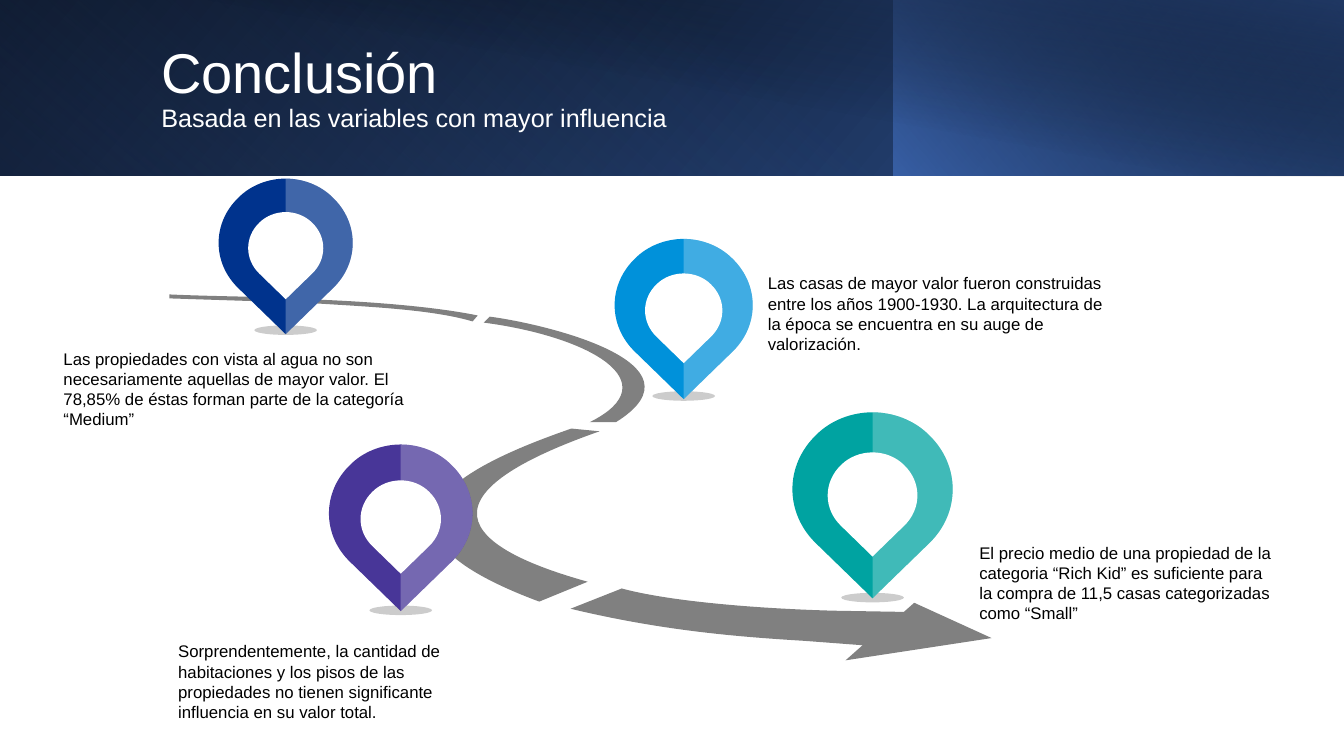
from typing import NamedTuple

from lxml.etree import SubElement
from pptx import Presentation
from pptx.dml.color import RGBColor as RGB
from pptx.enum.shapes import MSO_SHAPE as Shape
from pptx.enum.text import MSO_ANCHOR as Anchor, MSO_AUTO_SIZE as AutoSize, PP_ALIGN as Align
from pptx.oxml.ns import qn
from pptx.util import Cm, Pt

COLORS = {
    "black": "000000", "white": "FFFFFF", "road": "808080",
    "blue": "4472C4", "mid": "2F5597", "dark": "203864",
    "navy": "00338D", "sky": "0091DA", "purple": "483698", "teal": "00A3A1",
}
FONT = "Arial"
CURVE_STEPS = 8


class Stop(NamedTuple):
    pos: float
    color: str
    alpha: int = 100


class Band(NamedTuple):
    left: float
    width: float
    height: float
    angle: int
    stops: tuple[Stop, Stop]
    rotation: int = 0
    flip: bool = True


class Pin(NamedTuple):
    color: str
    x: float
    top: float
    width: float
    shadow_top: float


class Note(NamedTuple):
    left: float
    top: float
    width: float
    text: str


BANDS = [
    Band(0, 33.87, 4.43, 140, (Stop(0, "black"), Stop(1, "mid"))),
    Band(0, 22.55, 4.43, 230, (Stop(0.2, "blue", 0), Stop(1, "dark", 55)), rotation=180),
    Band(22.53, 11.33, 4.43, 220, (Stop(0, "blue", 66), Stop(1, "black", 30))),
    Band(1.27, 32.6, 4.44, 280, (Stop(0.5, "black", 0), Stop(0.99, "dark", 52)), flip=False),
]
NOTES = [
    Note(4.24, 16.03, 8.46, "Sorprendentemente, la cantidad de habitaciones y los pisos de las "
         "propiedades no tienen significante influencia en su valor total."),
    Note(24.43, 13.54, 8.0, "El precio medio de una propiedad de la categoria “Rich Kid” es "
         "suficiente para la compra de 11,5 casas categorizadas como “Small”"),
    Note(19.1, 6.76, 9.25, "Las casas de mayor valor fueron construidas entre los años 1900-1930. "
         "La arquitectura de la época se encuentra en su auge de valorización."),
    Note(1.35, 8.66, 9.19, "Las propiedades con vista al agua no son necesariamente aquellas de "
         "mayor valor. El 78,85% de éstas forman parte de la categoría “Medium”"),
]
PINS = [
    Pin("teal", 21.99, 10.39, 4.04, 14.94),
    Pin("purple", 10.1, 11.2, 3.62, 15.26),
    Pin("sky", 17.23, 6.02, 3.48, 9.86),
    Pin("navy", 7.2, 4.5, 3.38, 8.2),
]
# A pair is a straight step; six numbers are a Bézier curve
ROAD = [
    [(15.67, 14.83), (16.89, 15.16, 19.13, 15.34, 21.03, 15.39), (22.78, 15.42), (23.04, 15.19),
     (24.99, 16.08), (21.31, 16.64), (21.74, 16.26), (20.27, 16.15),
     (18.64, 16.05, 16.71, 15.9, 14.38, 15.34)],
    [(15.11, 10.87), (9.17, 12.95, 13.36, 14.25, 14.81, 14.66), (13.59, 15.16),
     (8.36, 13.21, 12.01, 11.63, 14.4, 10.8)],
    [(14.86, 10.64), (16.89, 9.63, 14.86, 8.48, 12.19, 8.13), (12.34, 7.98),
     (13.67, 8.15, 17.93, 9.14, 15.52, 10.64)],
    [(7.7, 7.54), (8.64, 7.57, 10.67, 7.67, 12.04, 7.95), (11.91, 8.1),
     (10.8, 7.77, 8.99, 7.72, 7.57, 7.62)],
    [(4.27, 7.42), (5.36, 7.47, 6.43, 7.47, 7.49, 7.52), (7.37, 7.62), (4.27, 7.52)],
]
# A pin whose width is 1: right half from the top to the tip, then the left half
HALF_PIN = [(0, 0), (0.13, 0, 0.26, 0.05, 0.35, 0.14),
            (0.55, 0.33, 0.55, 0.63, 0.35, 0.82), (0, 1.16)]
WHOLE_PIN = HALF_PIN + [(-0.35, 0.82), (-0.55, 0.63, -0.55, 0.33, -0.35, 0.14),
                        (-0.26, 0.05, -0.13, 0, 0, 0)]
HOLE_SCALE, HOLE_TOP = 0.56, 0.25


def flatten(steps: list[tuple]) -> list[tuple]:
    points = [steps[0]]
    for step in steps[1:]:
        if len(step) == 2:
            points.append(step)
            continue
        (x0, y0), (x1, y1, x2, y2, x3, y3) = points[-1], step
        for i in range(1, CURVE_STEPS + 1):
            t = i / CURVE_STEPS
            a, b, c, d = (1 - t) ** 3, 3 * t * (1 - t) ** 2, 3 * t * t * (1 - t), t ** 3
            points.append((a * x0 + b * x1 + c * x2 + d * x3, a * y0 + b * y1 + c * y2 + d * y3))
    return points


def set_alphas(sp, alphas: list[int]) -> None:
    for clr, alpha in zip(sp._element.spPr.iter(qn("a:srgbClr")), alphas):
        if alpha < 100:
            SubElement(clr, qn("a:alpha")).set("val", str(alpha * 1000))


def paint(sp, color: str, alpha: int = 100) -> None:
    sp.shadow.inherit = False
    sp.fill.solid()
    sp.fill.fore_color.rgb = RGB.from_string(COLORS[color])
    sp.line.fill.background()
    set_alphas(sp, [alpha])


def add_outline(shapes, steps: list[tuple], color: str, alpha: int = 100) -> None:
    # The flattened points give the bounds; the curves then replace them
    corners = [(Cm(x), Cm(y)) for x, y in flatten(steps)]
    builder = shapes.build_freeform(*corners[0])
    builder.add_line_segments(corners[1:], close=True)
    sp = builder.convert_to_shape()
    outline = sp._element.spPr.find(".//" + qn("a:path"))
    for child in list(outline):
        outline.remove(child)
    for i, step in enumerate(steps):
        tag = "a:moveTo" if i == 0 else "a:lnTo" if len(step) == 2 else "a:cubicBezTo"
        segment = SubElement(outline, qn(tag))
        for x, y in zip(step[::2], step[1::2]):
            pt = SubElement(segment, qn("a:pt"))
            pt.set("x", str(Cm(x) - sp.left))
            pt.set("y", str(Cm(y) - sp.top))
    SubElement(outline, qn("a:close"))
    paint(sp, color, alpha)


def add_band(shapes, band: Band) -> None:
    sp = shapes.add_shape(Shape.RECTANGLE, Cm(band.left), 0, Cm(band.width), Cm(band.height))
    sp.shadow.inherit = False
    sp.line.fill.background()
    sp.rotation = band.rotation
    if band.flip:
        sp._element.spPr.xfrm.set("flipH", "1")
    sp.fill.gradient()
    sp.fill.gradient_angle = 360 - band.angle
    for target, stop in zip(sp.fill.gradient_stops, band.stops):
        target.position = stop.pos
        target.color.rgb = RGB.from_string(COLORS[stop.color])
    set_alphas(sp, [stop.alpha for stop in band.stops])


def add_note(shapes, note: Note) -> None:
    tf = shapes.add_textbox(Cm(note.left), Cm(note.top), Cm(note.width), Cm(2.31)).text_frame
    tf.word_wrap, tf.auto_size = True, AutoSize.SHAPE_TO_FIT_TEXT
    p = tf.paragraphs[0]
    p.text = note.text
    p.font.name, p.font.size = FONT, Pt(12)
    p.font.color.rgb = RGB.from_string(COLORS["black"])


def add_pin(shapes, pin: Pin) -> None:
    group = shapes.add_group_shape().shapes
    shadow = group.add_shape(Shape.OVAL, Cm(pin.x - 0.79), Cm(pin.shadow_top), Cm(1.58), Cm(0.24))
    paint(shadow, "black", 20)

    def place(steps: list[tuple], scale: float = 1, top: float = 0) -> list[tuple]:
        starts = (pin.x, pin.top + top * pin.width)
        return [tuple(starts[i % 2] + v * scale * pin.width for i, v in enumerate(step))
                for step in steps]

    add_outline(group, place(WHOLE_PIN), pin.color)
    add_outline(group, place(HALF_PIN), "white", 25)
    add_outline(group, place(WHOLE_PIN, HOLE_SCALE, HOLE_TOP), "white")


def format_title(title) -> None:
    title.left, title.top, title.width, title.height = Cm(3.81), Cm(0.81), Cm(27.48), Cm(2.87)
    tf = title.text_frame
    tf.word_wrap, tf.auto_size, tf.vertical_anchor = True, AutoSize.NONE, Anchor.MIDDLE
    p = tf.paragraphs[0]
    p.alignment, p.line_spacing = Align.LEFT, 0.9
    p.font.name, p.font.size = FONT, Pt(40)
    p.font.color.rgb = RGB.from_string(COLORS["white"])
    p.add_run().text = "Conclusión"
    p.add_line_break()
    r = p.add_run()
    r.text = "Basada en las variables con mayor influencia"
    r.font.size = Pt(18)


def main() -> None:
    prs = Presentation()
    prs.slide_width, prs.slide_height = Cm(33.87), Cm(19.05)
    shapes = prs.slides.add_slide(prs.slide_layouts[5]).shapes
    # Header bands, with the title brought in front of them
    for band in BANDS:
        add_band(shapes, band)
    format_title(shapes.title)
    shapes._spTree.append(shapes.title._element)
    # Findings
    for note in NOTES:
        add_note(shapes, note)
    # Winding road and its pins
    road = shapes.add_group_shape().shapes
    for section in ROAD:
        add_outline(road, section, "road")
    for pin in PINS:
        add_pin(shapes, pin)
    prs.save("out.pptx")


if __name__ == "__main__":
    main()
